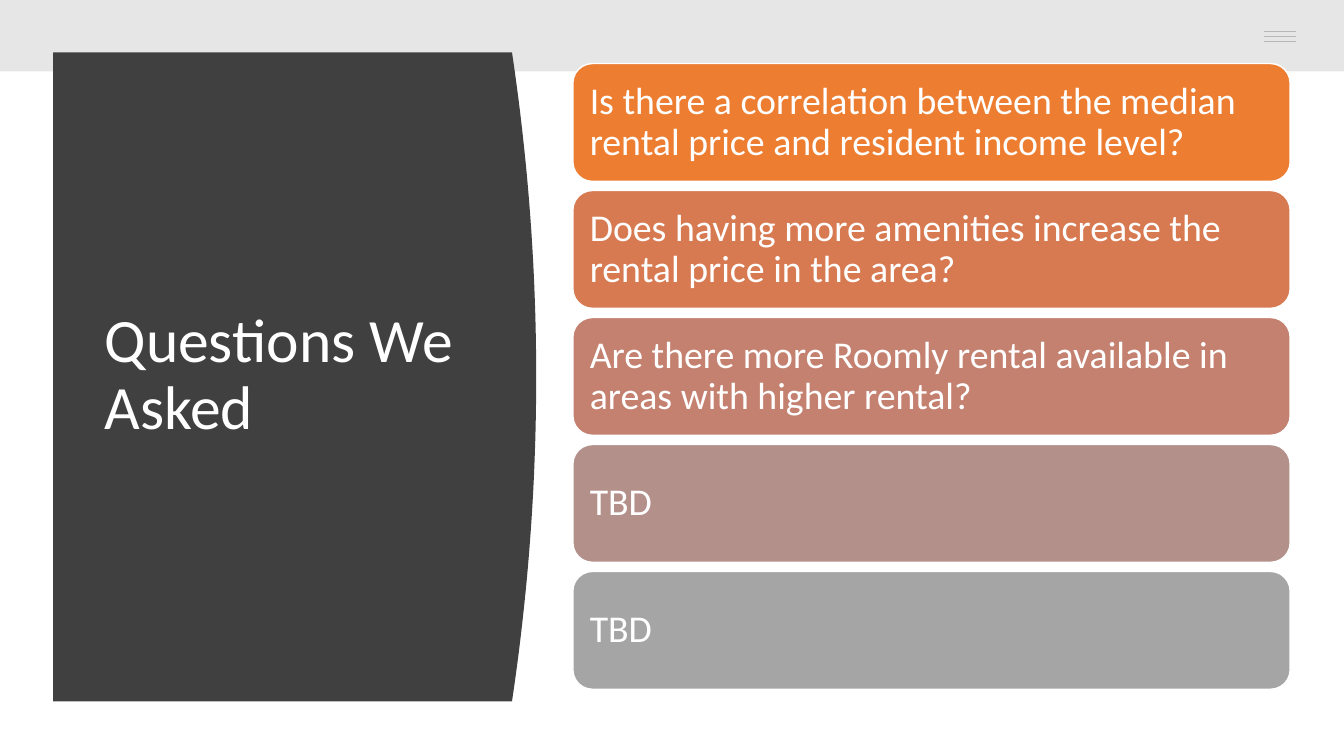
from lxml.etree import SubElement
from pptx import Presentation
from pptx.dml.color import RGBColor
from pptx.enum.shapes import MSO_CONNECTOR, MSO_SHAPE
from pptx.enum.text import MSO_ANCHOR, PP_ALIGN
from pptx.oxml.ns import qn
from pptx.util import Pt

WHITE = RGBColor(0xFF, 0xFF, 0xFF)
BAND_GREY = RGBColor(0xE7, 0xE6, 0xE6)
MENU_GREY = RGBColor(0xB7, 0xB7, 0xB7)
PANEL_DARK = RGBColor(0x40, 0x40, 0x40)
ORANGE = RGBColor(0xED, 0x7D, 0x31)
TERRACOTTA = RGBColor(0xD8, 0x7A, 0x51)
ROSE = RGBColor(0xC4, 0x81, 0x70)
MAUVE = RGBColor(0xB4, 0x90, 0x8B)
GREY = RGBColor(0xA5, 0xA5, 0xA5)

FONT = "Calibri"
SLIDE_WIDTH, SLIDE_HEIGHT = 960, 540
QUESTIONS = [
    ("Is there a correlation between the median rental price and resident income level?", ORANGE),
    ("Does having more amenities increase the rental price in the area?", TERRACOTTA),
    ("Are there more Roomly rental available in areas with higher rental?", ROSE),
    ("TBD", MAUVE),
    ("TBD", GREY),
]


def paint(shape, color):
    shape.shadow.inherit = False
    shape.fill.solid()
    shape.fill.fore_color.rgb = color
    shape.line.fill.background()


def write(shape, text, size):
    """Set white, left-aligned, vertically centred text."""
    frame = shape.text_frame
    frame.word_wrap = True
    frame.vertical_anchor = MSO_ANCHOR.MIDDLE
    para = frame.paragraphs[0]
    para.text = text
    para.alignment = PP_ALIGN.LEFT
    para.line_spacing = 0.9
    font = para.runs[0].font
    font.name, font.size, font.color.rgb = FONT, Pt(size), WHITE


def add_header(page, left, top, width, height):
    """Draw the top band and its three-line menu mark."""
    band = page.shapes.add_shape(MSO_SHAPE.RECTANGLE, Pt(left), Pt(top), Pt(width), Pt(height))
    paint(band, BAND_GREY)
    right = left + width - 34.5
    for row in range(3):
        y = Pt(top + 22.6 + row * 3.4)
        line = page.shapes.add_connector(MSO_CONNECTOR.STRAIGHT, Pt(right - 22.6), y, Pt(right), y)
        line.line.color.rgb = MENU_GREY
        line.line.width = Pt(0.75)
        SubElement(line._element.spPr, qn("a:effectLst"))


def add_title_panel(page, left, top, width, height, title):
    """Draw the dark panel with a bulging right side, and the title on it."""
    bulge, steps = 17.3, 40
    edge = []
    for step in range(steps + 1):
        offset = 2 * step / steps - 1
        edge.append((Pt(left + width - bulge * offset ** 2), Pt(top + height * step / steps)))
    builder = page.shapes.build_freeform(Pt(left), Pt(top))
    builder.add_line_segments(edge + [(Pt(left), Pt(top + height))], close=True)
    paint(builder.convert_to_shape(), PANEL_DARK)

    box = page.shapes.add_textbox(Pt(left + 29.7), Pt(top + 42.6), Pt(269.3), Pt(height - 86.4))
    write(box, title, 44)


def add_question_list(page, left, top, width, height, questions):
    gap = 6.5
    card_height = (height - gap * (len(questions) - 1)) / len(questions)
    for row, (question, color) in enumerate(questions):
        card = page.shapes.add_shape(
            MSO_SHAPE.ROUNDED_RECTANGLE,
            Pt(left), Pt(top + row * (card_height + gap)), Pt(width), Pt(card_height))
        paint(card, color)
        card.line.color.rgb = WHITE
        card.line.width = Pt(1)
        frame = card.text_frame
        frame.margin_left = frame.margin_right = Pt(8)
        frame.margin_top = frame.margin_bottom = Pt(8)
        write(card, question, 27)


def main():
    deck = Presentation()
    deck.slide_width, deck.slide_height = Pt(SLIDE_WIDTH), Pt(SLIDE_HEIGHT)
    page = deck.slides.add_slide(deck.slide_layouts[6])
    add_header(page, 0, 0, SLIDE_WIDTH, 51)
    add_title_panel(page, 38, 37.4, 345, 463.7, "Questions We Asked")
    add_question_list(page, 409.2, 45.4, 512.4, 447, QUESTIONS)
    deck.save("out.pptx")


if __name__ == "__main__":
    main()
